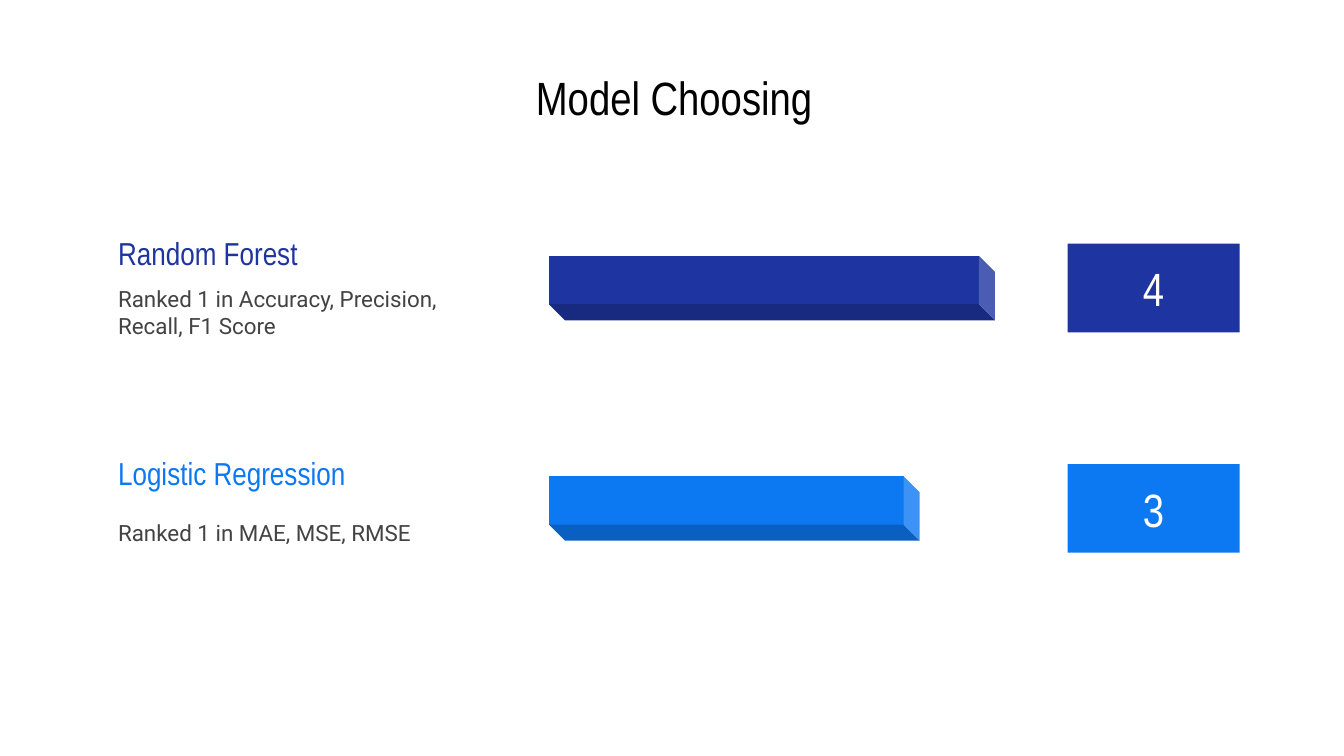
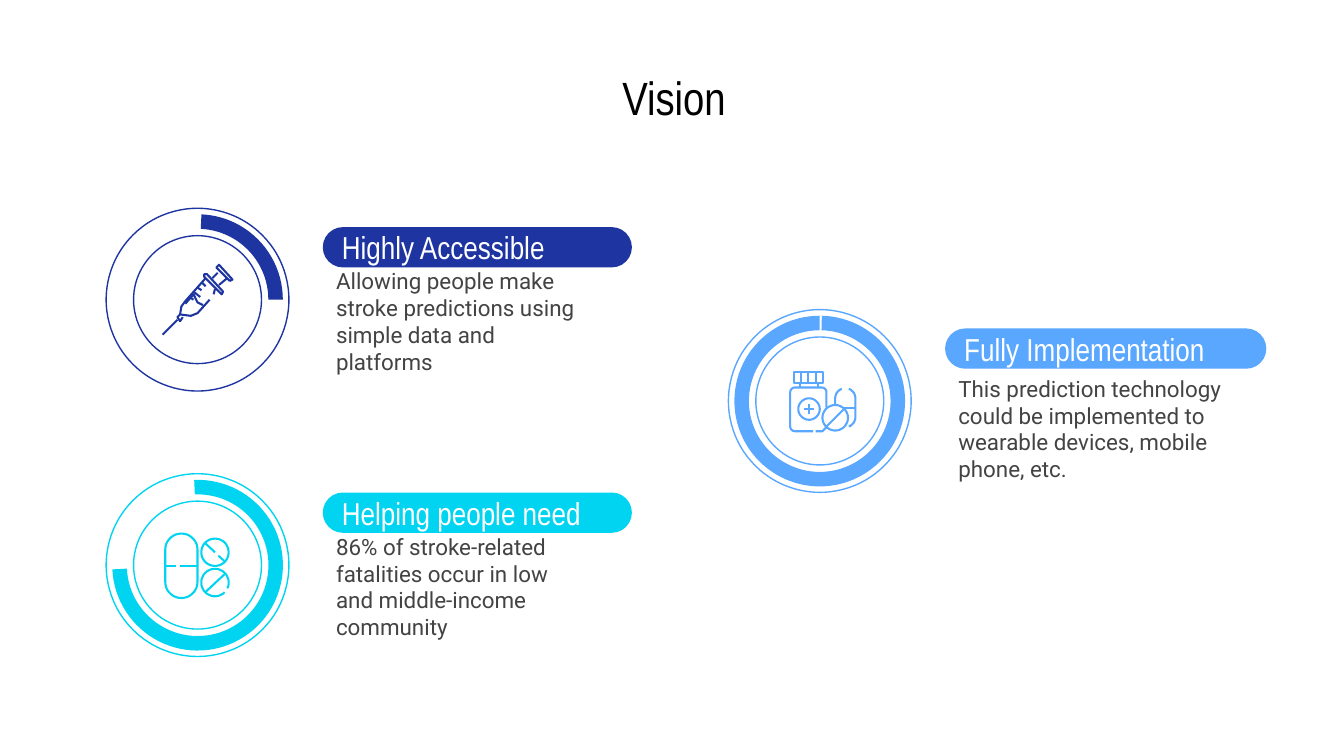
from math import cos, radians, sin

from pptx import Presentation
from pptx.dml.color import RGBColor
from pptx.enum.shapes import MSO_SHAPE
from pptx.enum.text import MSO_ANCHOR, MSO_AUTO_SIZE, PP_ALIGN
from pptx.util import Inches, Pt

CELL = Inches(0.1)
NAVY, BLUE, SKY, CYAN = "1E35A1", "0C79F3", "59A7FF", "00D4F0"
BLACK, GREY, WHITE = "000000", "434343", "FFFFFF"
HEADING, BODY = "Arial Narrow", "Roboto"
RING = 13.6


def arc(x, y, radius, start=0, end=360):
    """List points along an arc, clockwise from the right, in degrees."""
    steps = max(4, (end - start) // 10)
    angles = [radians(start + (end - start) * step / steps) for step in range(steps + 1)]
    return [(x + radius * cos(angle), y + radius * sin(angle)) for angle in angles]


def bars(positions, top, bottom):
    """List vertical strokes at the given positions."""
    return [[(x, top), (x, bottom)] for x in positions]


def rectangle(left, top, right, bottom):
    """List the corners of a closed rectangle."""
    return [(left, top), (right, top), (right, bottom), (left, bottom), (left, top)]


SYRINGE = [[
    [(-26, 26), (-15, 15)],
    [(-13, 11), (-12, 5), (-9, 1), (6, -16)],
    [(9, 0), (0, 10), (-5, 12), (-13, 11), (-15, 13), (-13, 16), (-11, 13)],
    [(5, -19), (7, -19), (19, -6), (18, -4), (5, -17), (5, -19)],
    [(13, -8), (12, -4)],
    [(11, -16), (15, -20)],
    [(16, -11), (22, -16)],
    [(16, -26), (26, -15), (24, -14), (14, -24), (16, -26)],
    [(-9, 3), (-3, -4), (0, 2), (4, 4)],
    [(-6, -2), (-3, 0)],
    [(-3, -6), (2, -2)],
    [(0, -9), (3, -7)],
    [(3, -13), (6, -10)],
]]
BOTTLE = [
    [[(-12, 6), (-4, 6)], [(-8, 2), (-8, 10)]],
    [arc(-8, 6, 8)],
    [
        rectangle(-19, -21.5, 2.5, -13),
        *bars((-14, -8.5, -3), -21.5, -13),
        *bars((-15, -1), -13, -10),
        [(-5, 22.5), *arc(-18.5, 19, 3.5, 90, 180), *arc(-18.5, -6.5, 3.5, 180, 270),
         *arc(1.5, -6.5, 3.5, 270, 360), (5, 5)],
        [(5, 19.5), (2, 22.5), (-3, 22.5)],
        [(11.5, 3), *arc(19, -2, 7.5, 180, 250)],
        [*arc(19, -2, 7.5, 290, 360), *arc(19, 12, 7.5, 0, 70)],
        [(17, 5), (26.5, 5)],
        arc(11.5, 12.5, 9.5),
        [(5, 19), (18, 6)],
    ],
]
PILLS = [
    [[*arc(-12, -11.5, 12, 180, 360), *arc(-12, 12.5, 12, 0, 180), (-24, -11.5)],
     [(-24, 0.5), (-16, 0.5)], [(-13, 0.5), (0, 0.5)]],
    [arc(13, -9.5, 10.2), [(6, -16), (13, -9.5)], [(15.5, -7), (20, -3)]],
    [arc(13, 13, 10.2, 45, 385), [(6, 20), (20.5, 6.5)]],
]


def colour(code):
    """Turn a hex string into a colour."""
    return RGBColor.from_string(code)


def place(shape, left, top, width, height):
    """Set the frame of a shape in grid cells."""
    shape.left, shape.top, shape.width, shape.height = (
        round(length * CELL) for length in (left, top, width, height))


def write(shape, text, size, name, code, align=PP_ALIGN.LEFT):
    """Put one formatted paragraph into a shape."""
    frame = shape.text_frame
    frame.word_wrap = True
    frame.auto_size = MSO_AUTO_SIZE.NONE
    frame.vertical_anchor = MSO_ANCHOR.MIDDLE
    frame.margin_left = frame.margin_right = CELL
    frame.margin_top = frame.margin_bottom = CELL
    frame.text = text
    para = frame.paragraphs[0]
    para.alignment = align
    para.font.size = Pt(size)
    para.font.name = name
    para.font.color.rgb = colour(code)


def paint(shape, fill=None, line=None, weight=0.75):
    """Give a shape its fill and line, without a shadow."""
    shape.shadow.inherit = False
    if fill:
        shape.fill.solid()
        shape.fill.fore_color.rgb = colour(fill)
    else:
        shape.fill.background()
    if line:
        shape.line.color.rgb = colour(line)
        shape.line.width = Pt(weight)
    else:
        shape.line.fill.background()


def add_preset(page, kind, frame, adjustments=(), **paints):
    """Add a preset shape on the grid."""
    shape = page.shapes.add_shape(kind, 0, 0, 0, 0)
    place(shape, *frame)
    for index, value in enumerate(adjustments):
        shape.adjustments[index] = value
    paint(shape, **paints)
    return shape


def add_label(page, frame, text, size, name, code):
    """Add a plain text box."""
    box = page.shapes.add_textbox(0, 0, 0, 0)
    place(box, *frame)
    write(box, text, size, name, code)


def add_page(deck, title):
    """Add a title-only slide with the shared title style."""
    page = deck.slides.add_slide(deck.slide_layouts[5])
    place(page.shapes.title, 5.3, 4.55, 89.7, 5.3)
    write(page.shapes.title, title, 25, HEADING, BLACK, PP_ALIGN.CENTER)
    return page


def add_model(page, top, name, reason, score, length, code):
    """Add a model row: name, reason, bar and score."""
    add_label(page, (7.8, top, 30.8, 4), name, 17, HEADING, code)
    add_label(page, (7.8, top + 3.6, 30.8, 5.7), reason, 12, BODY, GREY)
    thickness, middle = 4.8, top + 4.63
    bar = add_preset(page, MSO_SHAPE.CUBE,
                     (40.83 + (length - thickness) / 2, middle - length / 2, thickness, length),
                     [0.25], fill=code)
    bar.rotation = 90
    badge = add_preset(page, MSO_SHAPE.ROUNDED_RECTANGLE, (79.43, top + 1.33, 12.8, 6.6),
                       [0], fill=code)
    write(badge, score, 25, HEADING, WHITE, PP_ALIGN.CENTER)


def add_icon(page, icon, left, top, code):
    """Draw each part of a line icon around a centre, in hundredths of an inch."""
    for part in icon:
        strokes = [[(round(left * 100 + x * 10), round(top * 100 + y * 10)) for x, y in stroke]
                   for stroke in part]
        builder = page.shapes.build_freeform(*strokes[0][0], scale=CELL / 100)
        for index, points in enumerate(strokes):
            if index:
                builder.move_to(*points[0])
            builder.add_line_segments(points[1:], close=False)
        paint(builder.convert_to_shape(), line=code, weight=1.1)


def add_ring(page, left, top, start, turn, code):
    """Add an outlined ring with a progress arc."""
    add_preset(page, MSO_SHAPE.DONUT, (left, top, RING, RING), [0.15], line=code)
    progress = add_preset(page, MSO_SHAPE.BLOCK_ARC, (left + 0.45, top + 0.45, 12.7, 12.7),
                          [start * 0.6, 359.99 * 0.6, 0.085], fill=code)
    progress.rotation = turn


def add_goal(page, left, top, code, icon, progress, heading, text, widths, drop):
    """Add a goal: ring, icon, heading pill and text."""
    add_ring(page, left, top, *progress, code)
    add_icon(page, icon, left + RING / 2, top + RING / 2, code)
    pill_width, text_width = widths
    start = left + 16.12
    add_label(page, (start, top + drop, text_width, 7.6), text, 12, BODY, GREY)
    pill = add_preset(page, MSO_SHAPE.ROUNDED_RECTANGLE, (start, top + 1.4, pill_width, 3),
                      [0.5], fill=code)
    write(pill, heading, 17, HEADING, WHITE)


def main():
    """Build the two slides."""
    deck = Presentation()
    deck.slide_width = Inches(10)
    deck.slide_height = deck.slide_width * 9 // 16

    page = add_page(deck, "Model Choosing")
    add_model(page, 16.8, "Random Forest",
              "Ranked 1 in Accuracy, Precision, Recall, F1 Score", "4", 33.2, NAVY)
    add_model(page, 33.2, "Logistic Regression",
              "Ranked 1 in MAE, MSE, RMSE", "3", 27.6, BLUE)

    page = add_page(deck, "Vision")
    add_goal(page, 7.9, 15.5, NAVY, SYRINGE, (272.65, 0), "Highly Accessible",
             "Allowing people make stroke predictions using simple data and platforms",
             (23, 20.6), 4.6)
    add_goal(page, 54.2, 23.04, SKY, BOTTLE, (1.41, 270), "Fully Implementation",
             "This prediction technology could be implemented to wearable devices, "
             "mobile phone, etc.", (23.9, 23.9), 5.05)
    add_goal(page, 7.9, 35.25, CYAN, PILLS, (90.52, 177.2), "Helping people need",
             "86% of stroke-related fatalities occur in low and middle-income community",
             (23, 20.6), 4.6)
    deck.save("out.pptx")


if __name__ == "__main__":
    main()
